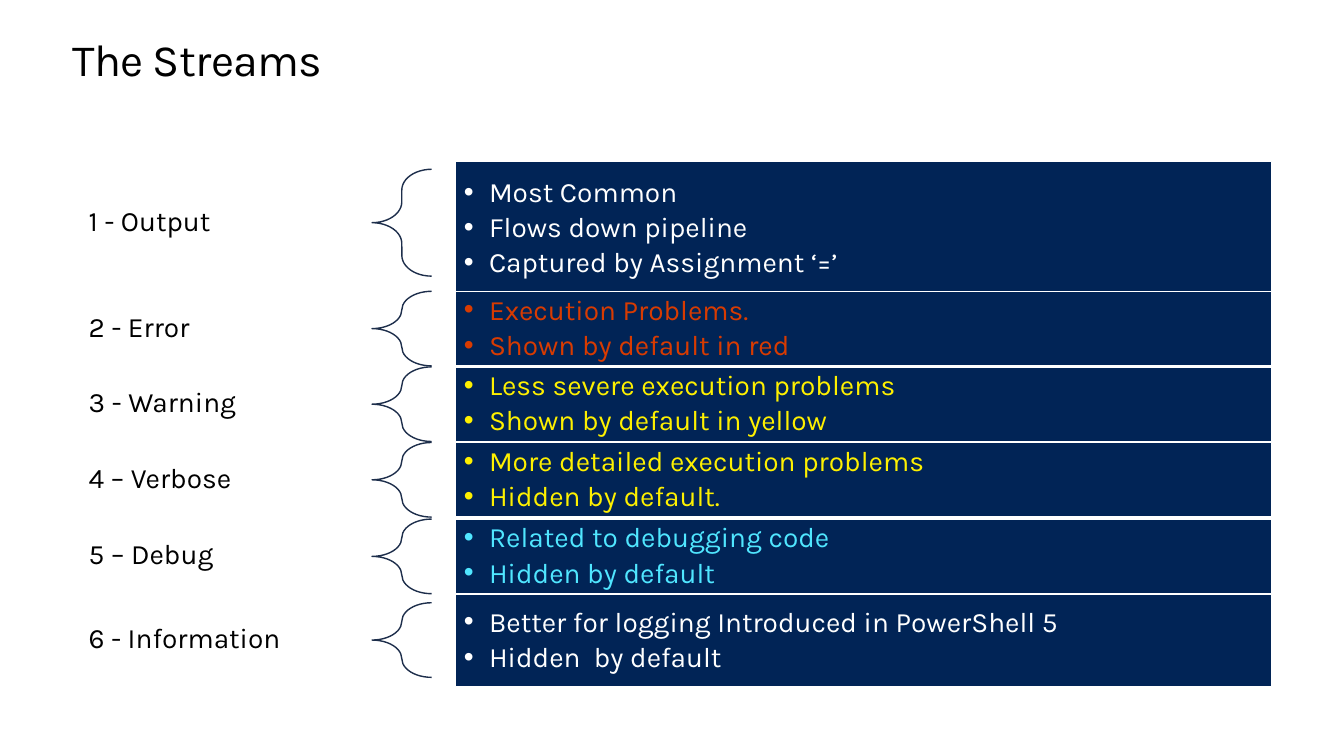
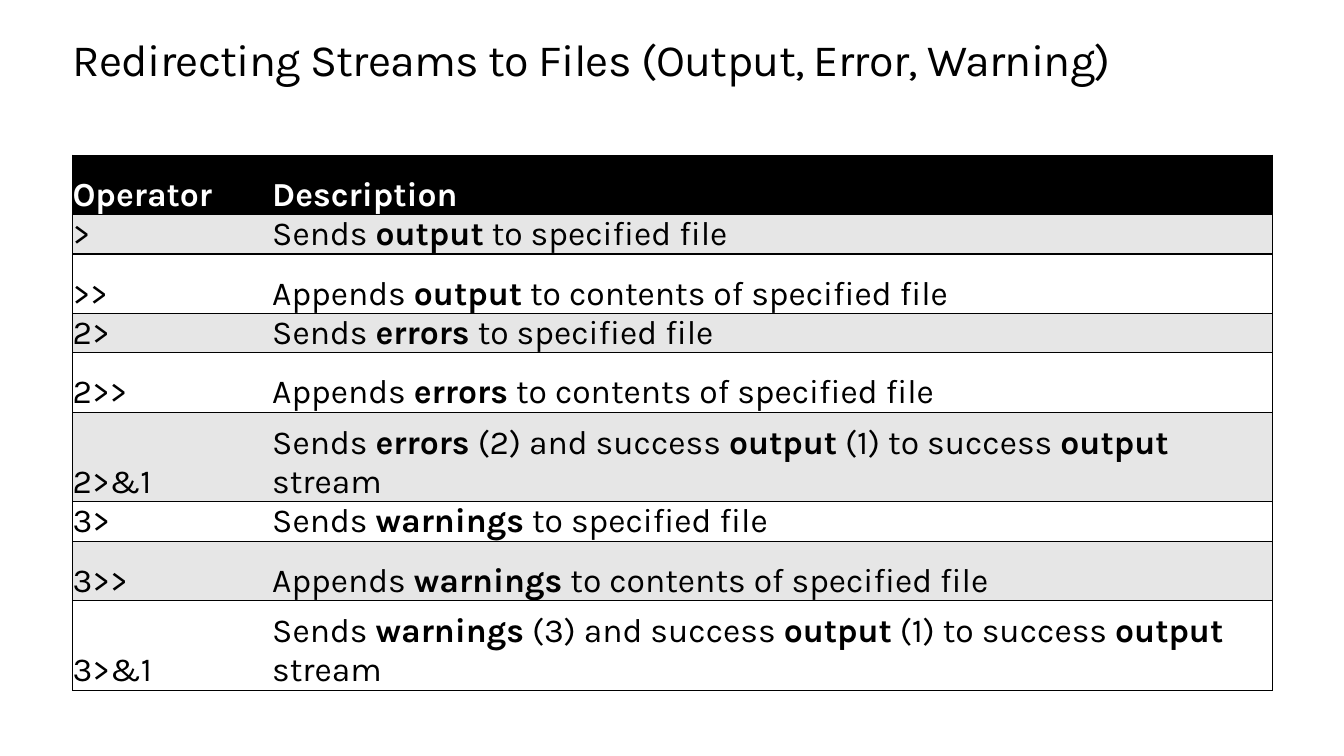
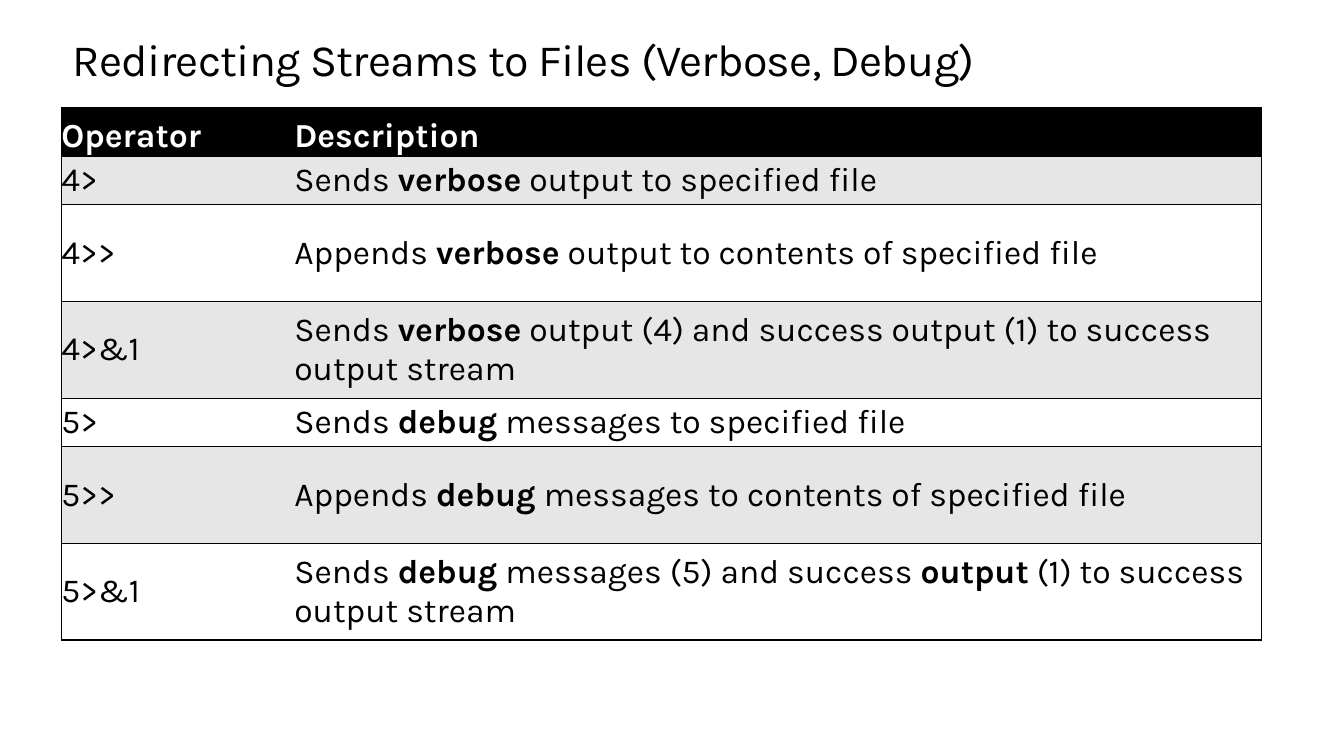
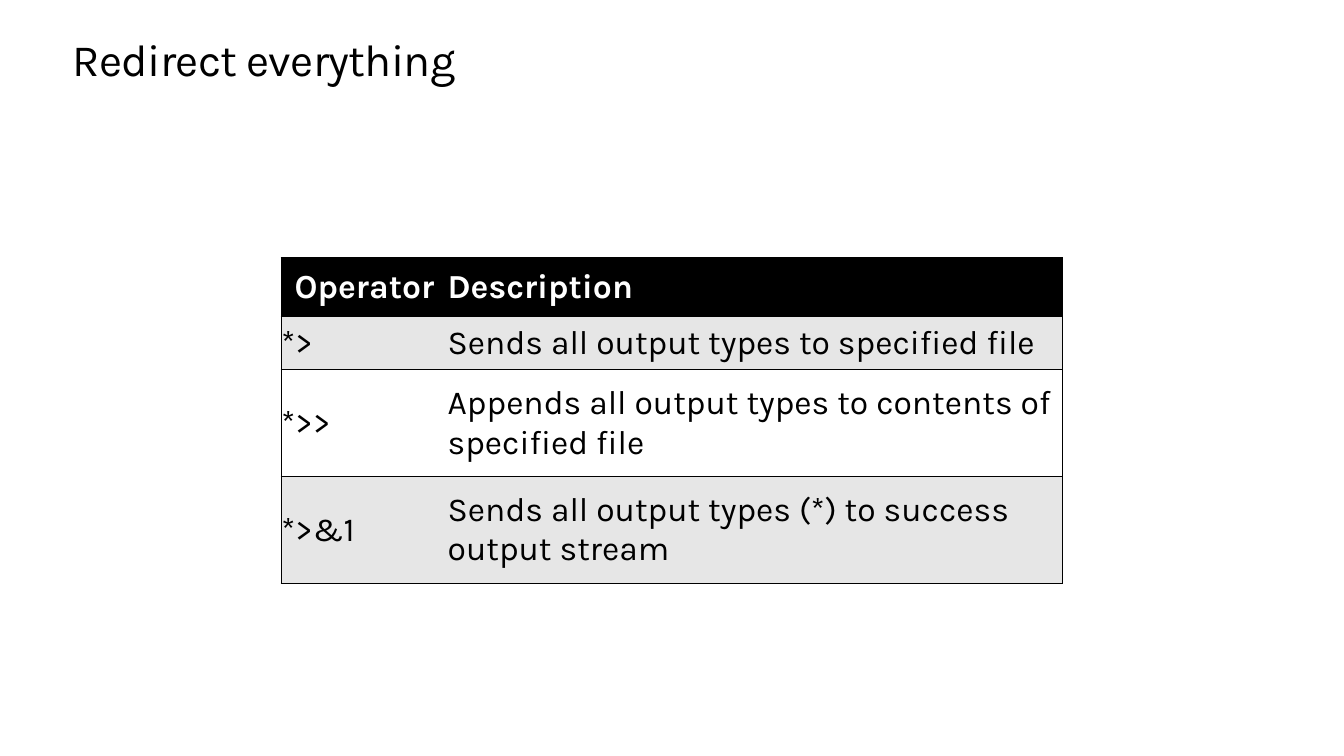
from lxml import etree
from pptx import Presentation
from pptx.dml.color import RGBColor
from pptx.enum.shapes import MSO_SHAPE
from pptx.enum.text import MSO_ANCHOR, MSO_AUTO_SIZE, PP_ALIGN
from pptx.oxml.ns import qn
from pptx.util import Emu, Pt

# Content: lengths in px, 100 px to the inch
WHITE, BLACK, GREY = "FFFFFF", "000000", "E6E6E6"
NAVY, INK, RED, YELLOW, CYAN = "012456", "1D2E4B", "D83B01", "FEF000", "50E6FF"
FONT = "Karla"

# label, label centre, brace height, box top, box height, text colour, points
STREAMS = [
    ("1 - Output", 221, 106, 160, 133, WHITE,
     ["Most Common", "Flows down pipeline", "Captured by Assignment ‘=’"]),
    ("2 - Error", 326, 74, 289, 74, RED,
     ["Execution Problems.", "Shown by default in red"]),
    ("3 - Warning", 401, 74, 364, 74, YELLOW,
     ["Less severe execution problems", "Shown by default in yellow"]),
    ("4 – Verbose", 476, 74, 439, 74, YELLOW,
     ["More detailed execution problems", "Hidden by default."]),
    ("5 – Debug", 552, 74, 515, 74, CYAN,
     ["Related to debugging code", "Hidden by default"]),
    ("6 - Information", 635, 74, 590, 91, WHITE,
     ["Better for logging Introduced in PowerShell 5", "Hidden  by default"]),
]

# ** switches bold on and off
TABLES = [
    dict(title="Redirecting Streams to Files (Output, Error, Warning)",
         at=(72, 154), cols=(198, 992), anchor=MSO_ANCHOR.BOTTOM,
         head_anchor=MSO_ANCHOR.BOTTOM, head_align=PP_ALIGN.LEFT, head=59,
         rows=[
             (39, ">", "Sends **output** to specified file"),
             (59, ">>", "Appends **output** to contents of specified file"),
             (39, "2>", "Sends **errors** to specified file"),
             (59, "2>>", "Appends **errors** to contents of specified file"),
             (89, "2>&1", "Sends **errors** (2) and success **output** (1) "
                          "to success **output** stream"),
             (39, "3>", "Sends **warnings** to specified file"),
             (59, "3>>", "Appends **warnings** to contents of specified file"),
             (89, "3>&1", "Sends **warnings** (3) and success **output** (1) "
                          "to success **output** stream"),
         ]),
    dict(title="Redirecting Streams to Files (Verbose, Debug)",
         at=(61, 107), cols=(231, 959), anchor=MSO_ANCHOR.MIDDLE,
         head_anchor=MSO_ANCHOR.BOTTOM, head_align=PP_ALIGN.LEFT, head=48,
         rows=[
             (48, "4>", "Sends **verbose** output to specified file"),
             (96, "4>>", "Appends **verbose** output to contents of specified file"),
             (96, "4>&1", "Sends **verbose** output (4) and success output (1) "
                          "to success output stream"),
             (48, "5>", "Sends **debug** messages to specified file"),
             (96, "5>>", "Appends **debug** messages to contents of specified file"),
             (96, "5>&1", "Sends **debug** messages (5) and success **output** (1) "
                          "to success output stream"),
         ]),
    dict(title="Redirect everything",
         at=(279, 256), cols=(165, 610), anchor=MSO_ANCHOR.MIDDLE,
         head_anchor=MSO_ANCHOR.MIDDLE, head_align=PP_ALIGN.CENTER, head=58,
         rows=[
             (53, "*>", "Sends all output types to specified file"),
             (106, "*>>", "Appends all output types to contents of specified file"),
             (106, "*>&1", "Sends all output types (*) to success output stream"),
         ]),
]


def px(n):
    return Emu(n * 9144)


def rgb(color):
    return RGBColor.from_string(color)


def set_all(target, **values):
    for name, value in values.items():
        setattr(target, name, value)


def set_margins(target, x, y):
    set_all(target, margin_left=px(x), margin_right=px(x),
            margin_top=px(y), margin_bottom=px(y))


def add_run(p, text, size, color, bold=False):
    r = p.add_run()
    r.text = text
    set_all(r.font, name=FONT, size=Pt(size), bold=bold)
    r.font.color.rgb = rgb(color)
    return r


def add_slide(prs, title):
    """Add a slide with the shared title style."""
    s = prs.slides.add_slide(prs.slide_layouts[5])
    sp = s.shapes.title
    set_all(sp, left=px(72), top=px(35), width=px(1190), height=px(50))
    tf = sp.text_frame
    set_margins(tf, 0, 0)
    set_all(tf, word_wrap=True, auto_size=MSO_AUTO_SIZE.NONE,
            vertical_anchor=MSO_ANCHOR.TOP)
    p = tf.paragraphs[0]
    set_all(p, alignment=PP_ALIGN.LEFT, line_spacing=Pt(36.2))
    r = add_run(p, title, 32, BLACK)
    r.font._element.set("spc", "-50")
    return s


def add_shape(s, kind, box, line, fill=None):
    sp = s.shapes.add_shape(kind, *map(px, box))
    sp.shadow.inherit = False
    sp.line.color.rgb = rgb(line)
    sp.line.width = Pt(1)
    if fill:
        sp.fill.solid()
        sp.fill.fore_color.rgb = rgb(fill)
    else:
        sp.fill.background()
    return sp


def add_bullet(p):
    pPr = p._p.get_or_add_pPr()
    pPr.set("marL", str(px(25)))
    pPr.set("indent", str(px(-25)))
    etree.SubElement(pPr, qn("a:buFont")).set("typeface", "Arial")
    etree.SubElement(pPr, qn("a:buChar")).set("char", "•")


def add_stream(s, label, centre, brace_h, top, height, color, points):
    sp = s.shapes.add_textbox(*map(px, (72, centre - 19, 297, 37)))
    tf = sp.text_frame
    set_margins(tf, 16, 6)
    set_all(tf, word_wrap=True, vertical_anchor=MSO_ANCHOR.MIDDLE)
    tf.paragraphs[0].line_spacing = 0.9
    add_run(tf.paragraphs[0], label, 20, BLACK)

    brace = add_shape(s, MSO_SHAPE.LEFT_BRACE,
                      (369, centre - brace_h // 2, 59, brace_h), INK)
    brace.adjustments[0] = 0.35

    box = add_shape(s, MSO_SHAPE.RECTANGLE, (452, top, 809, height), WHITE, NAVY)
    tf = box.text_frame
    set_margins(tf, 8, 8)
    set_all(tf, word_wrap=True, vertical_anchor=MSO_ANCHOR.MIDDLE)
    for i, point in enumerate(points):
        p = tf.add_paragraph() if i else tf.paragraphs[0]
        set_all(p, alignment=PP_ALIGN.LEFT, line_spacing=0.9, space_after=Pt(3.5))
        add_bullet(p)
        add_run(p, point, 20, color)


def set_borders(cell, hidden):
    """Draw thin black borders on every side but the hidden one."""
    tcPr = cell._tc.get_or_add_tcPr()
    for side in ("lnL", "lnR", "lnT", "lnB"):
        ln = etree.SubElement(tcPr, qn(f"a:{side}"), w=str(Pt(1)))
        if side == hidden:
            etree.SubElement(ln, qn("a:noFill"))
        else:
            fill = etree.SubElement(ln, qn("a:solidFill"))
            etree.SubElement(fill, qn("a:srgbClr"), val=BLACK)


def fill_cell(cell, text, fill, color, anchor, align, hidden, bold):
    set_borders(cell, hidden)
    cell.fill.solid()
    cell.fill.fore_color.rgb = rgb(fill)
    set_margins(cell, 0, 0)
    cell.vertical_anchor = anchor
    p = cell.text_frame.paragraphs[0]
    p.alignment = align
    for i, part in enumerate(text.split("**")):
        add_run(p, part, 24, color, bold or i % 2 == 1)


def add_operator_table(s, spec_):
    rows = [(spec_["head"], "Operator", "Description")] + spec_["rows"]
    size = sum(spec_["cols"]), sum(row[0] for row in rows)
    table = s.shapes.add_table(len(rows), 2, *map(px, spec_["at"] + size)).table
    set_all(table, first_row=False, horz_banding=False)
    for column, width in zip(table.columns, spec_["cols"]):
        column.width = px(width)
    for i, (height, *texts) in enumerate(rows):
        table.rows[i].height = px(height)
        head = i == 0
        fill = BLACK if head else GREY if i % 2 else WHITE
        for j, text in enumerate(texts):
            fill_cell(table.cell(i, j), text, fill, WHITE if head else BLACK,
                      spec_["head_anchor"] if head else spec_["anchor"],
                      spec_["head_align"] if head and j == 0 else PP_ALIGN.LEFT,
                      "lnL" if j else "lnR", head)


def main():
    prs = Presentation()
    set_all(prs, slide_width=px(1333), slide_height=px(750))
    s = add_slide(prs, "The Streams")
    for stream in STREAMS:
        add_stream(s, *stream)
    for table in TABLES:
        add_operator_table(add_slide(prs, table["title"]), table)
    prs.save("out.pptx")


if __name__ == "__main__":
    main()
